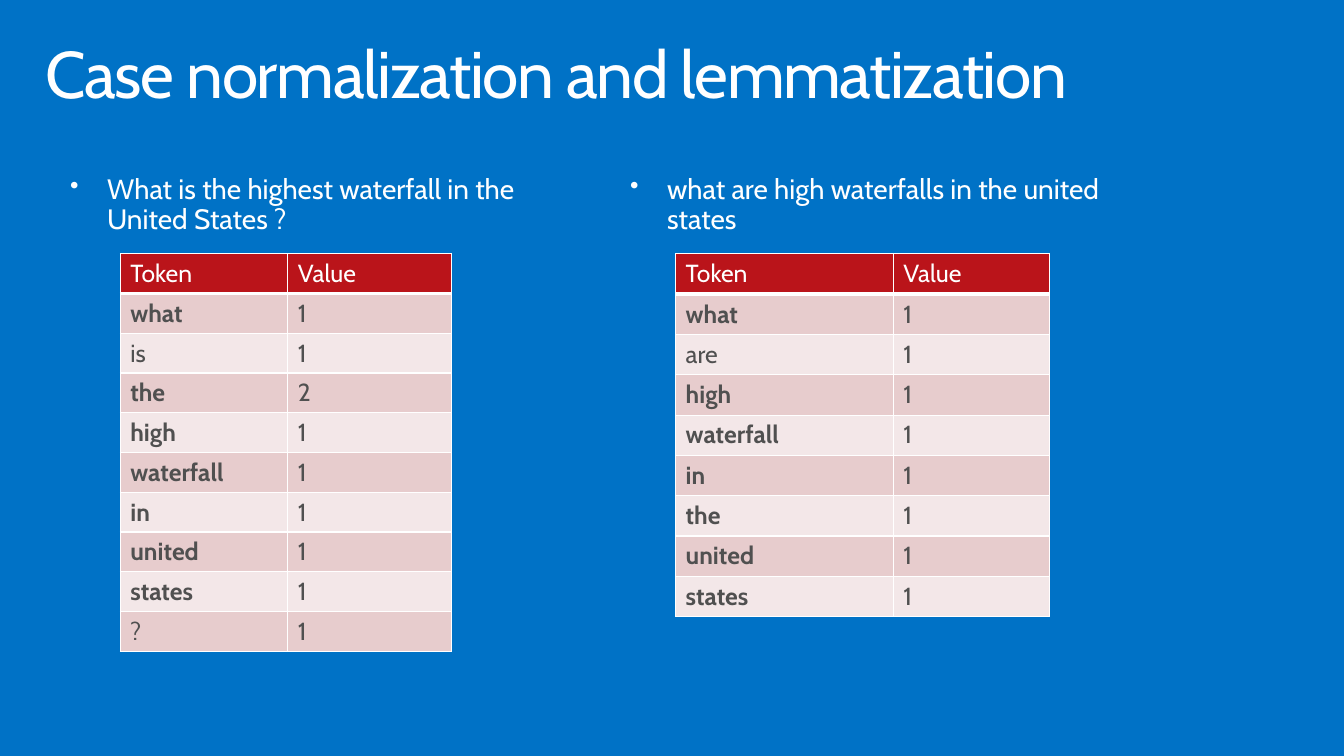
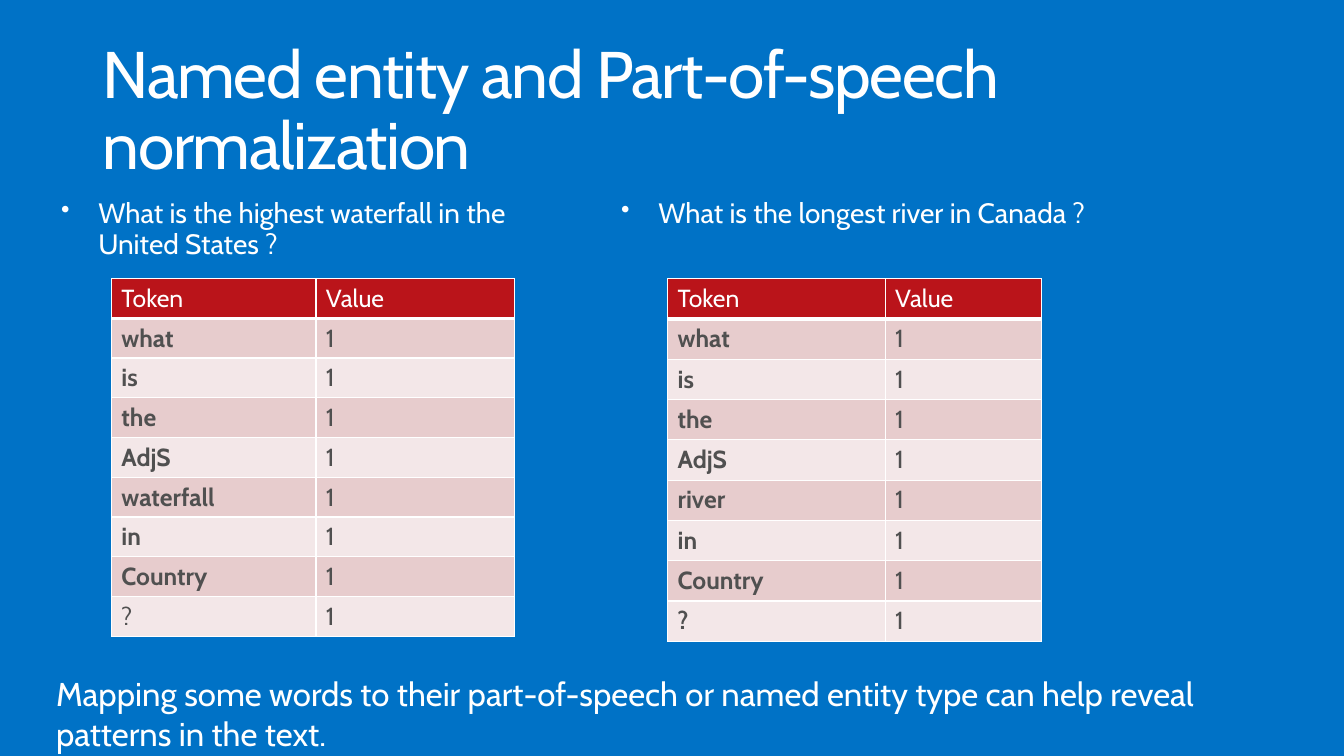
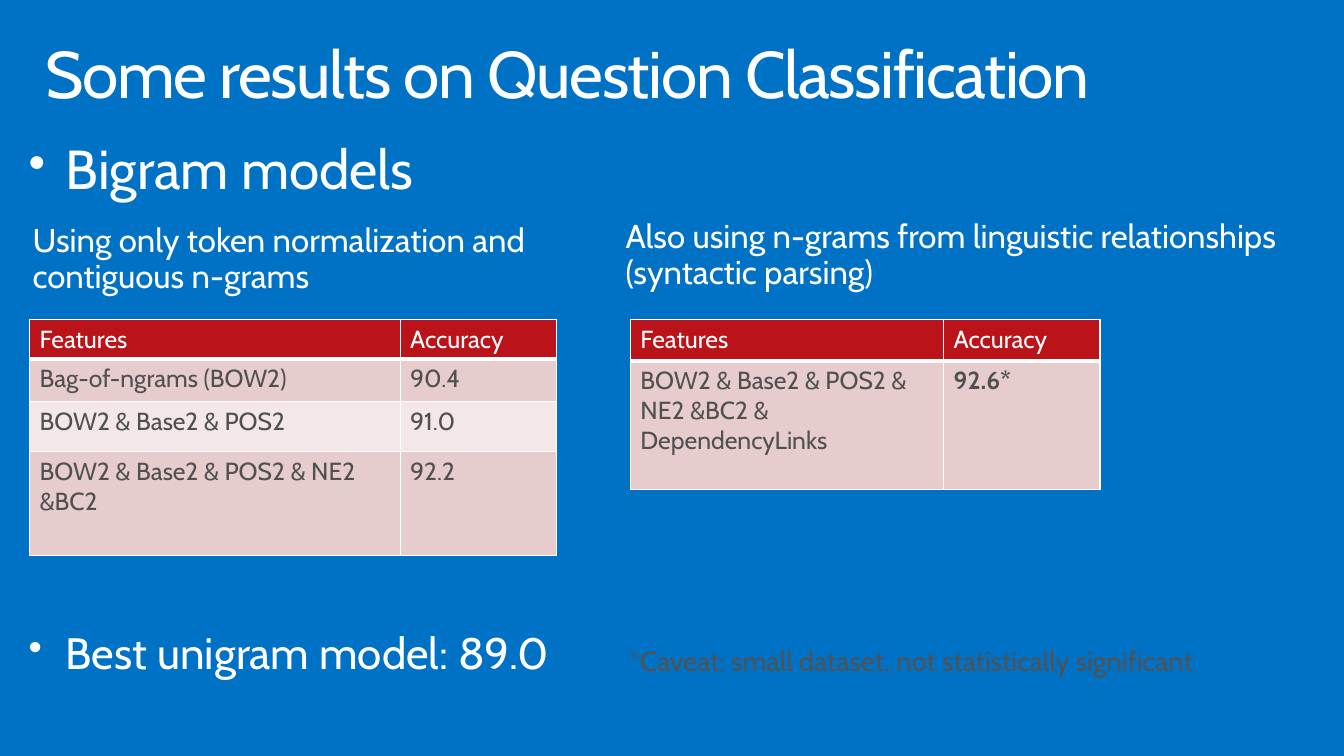
from dataclasses import dataclass

from lxml import etree
from pptx import Presentation
from pptx.dml.color import RGBColor
from pptx.enum.text import MSO_ANCHOR
from pptx.oxml.ns import qn
from pptx.util import Pt

TOP = MSO_ANCHOR.TOP


@dataclass(frozen=True)
class Theme:
    font: str = "Cabin"
    # Colours
    background: str = "0072C6"
    light: str = "FFFFFF"
    header: str = "BA141A"
    bands: tuple = ("E7CCCD", "F3E7E8")
    cell_text: str = "505050"
    caveat_text: str = "525252"
    # Type sizes
    title: float = 48
    topic: float = 40
    result: float = 32
    note: float = 24
    question: float = 20.4
    caveat: float = 20
    cell: float = 18
    # Box margins: horizontal, vertical
    body_margin: tuple = (11.5, 7.2)
    caption_margin: tuple = (14.4, 11.5)
    note_margin: tuple = (7.2, 3.6)


THEME = Theme()
SLIDE_W, SLIDE_H = 979.2, 550.8
COLUMN_PITCH = 408
TABLE_DROP = 64.8
VALUE_W = 113.8
BULLET_INDENT = 27


def add_run(paragraph, text, size, color, bold=False, tracking=0):
    run = paragraph.add_run()
    run.text = text
    font = run.font
    font.name, font.size, font.bold = THEME.font, Pt(size), bold
    font.color.rgb = RGBColor.from_string(color)
    if tracking:
        run._r.get_or_add_rPr().set("spc", str(tracking * 100))


def add_bullet(paragraph):
    props = paragraph._p.get_or_add_pPr()
    props.set("marL", str(Pt(BULLET_INDENT)))
    props.set("indent", str(-Pt(BULLET_INDENT)))
    etree.SubElement(props, qn("a:buSzPct")).set("val", "90000")
    etree.SubElement(props, qn("a:buChar")).set("char", "•")


def add_text(slide, text, box, size, color=THEME.light, margin=THEME.body_margin,
             bullet=False, spacing=0.9, tracking=0):
    frame = slide.shapes.add_textbox(*map(Pt, box)).text_frame
    frame.word_wrap = True
    frame.vertical_anchor = TOP
    frame.margin_left = frame.margin_right = Pt(margin[0])
    frame.margin_top = frame.margin_bottom = Pt(margin[1])
    paragraph = frame.paragraphs[0]
    if bullet:
        add_bullet(paragraph)
    paragraph.line_spacing = spacing
    add_run(paragraph, text, size, color, tracking=tracking)


def add_title(slide, text, left=21.6):
    width = min(936, SLIDE_W - left)
    add_text(slide, text, (left, 23, width, 72), THEME.title, tracking=-1)


def add_caption(slide, text, left, top, width):
    add_text(slide, text, (left, top, width, 75.6), THEME.note,
             margin=THEME.caption_margin)


def set_borders(cell, bottom):
    props = cell._tc.get_or_add_tcPr()
    sides = {"a:lnL": 1, "a:lnR": 1, "a:lnT": 1, "a:lnB": bottom}
    for position, (tag, width) in enumerate(sides.items()):
        line = etree.Element(qn(tag), w=str(Pt(width)))
        fill = etree.SubElement(line, qn("a:solidFill"))
        etree.SubElement(fill, qn("a:srgbClr")).set("val", THEME.light)
        props.insert(position, line)


def add_grid(slide, rows, left, top, col_widths, row_heights, bold=()):
    """Draw a table with a red header and banded rows; texts in bold stand out."""
    table = slide.shapes.add_table(
        len(rows), len(col_widths), Pt(left), Pt(top),
        Pt(sum(col_widths)), Pt(sum(row_heights))).table
    table.first_row = table.horz_banding = False
    for column, width in zip(table.columns, col_widths):
        column.width = Pt(width)
    for r, (texts, height) in enumerate(zip(rows, row_heights)):
        table.rows[r].height = Pt(height)
        is_header = r == 0
        fill = THEME.header if is_header else THEME.bands[(r - 1) % 2]
        color = THEME.light if is_header else THEME.cell_text
        for c, text in enumerate(texts):
            cell = table.cell(r, c)
            cell.fill.solid()
            cell.fill.fore_color.rgb = RGBColor.from_string(fill)
            set_borders(cell, bottom=3 if is_header else 1)
            add_run(cell.text_frame.paragraphs[0], text, THEME.cell, color,
                    bold=text in bold)


def add_question(slide, left, top, question, tokens, bold, indent, col_widths,
                 row_height, counts=None):
    """Place a question with the table of its tokens below it."""
    add_text(slide, question, (left, top, 372.2, 349.2), THEME.question, bullet=True)
    counts = counts or {}
    rows = [("Token", "Value")] + [(t, counts.get(t, "1")) for t in tokens]
    add_grid(slide, rows, left + indent, top + TABLE_DROP, col_widths,
             [row_height] * len(rows), bold)


def build_lemmatization(slide):
    add_title(slide, "Case normalization and lemmatization")
    left, top = 39.6, 120.2
    highest = "what is the high waterfall in united states ?".split()
    plural = "what are high waterfall in the united states".split()
    shared = set(highest) & set(plural)
    add_question(slide, left, top,
                 "What is the highest waterfall in the United States ?",
                 highest, shared, 48.2, (122, 119), 28.95, {"the": "2"})
    add_question(slide, left + COLUMN_PITCH, top,
                 "what are high waterfalls in the united states",
                 plural, shared, 44.8, (158.5, VALUE_W), 29.37)


def build_named_entity(slide):
    add_title(slide, "Named entity and Part-of-speech normalization", left=63.4)
    left, top = 33.1, 138.2
    waterfall = "what is the AdjS waterfall in Country ?".split()
    river = "what is the AdjS river in Country ?".split()
    add_question(slide, left, top,
                 "What is the highest waterfall in the United States ?",
                 waterfall, set(waterfall) - {"?"}, 48.2, (149, 144.8), 28.95)
    add_question(slide, left + COLUMN_PITCH, top,
                 "What is the longest river in Canada ?",
                 river, set(river), 45.4, (158.5, VALUE_W), 29.37)
    # Conclusion
    add_text(slide, "Mapping some words to their part-of-speech or named entity "
             "type can help reveal patterns in the text.",
             (33.8, 487.4, 905, 63), THEME.note, margin=THEME.note_margin, spacing=1)


def build_results(slide):
    add_title(slide, "Some results on Question Classification")
    left, right, table_top = 9.4, 441.4, 232.6
    add_text(slide, "Bigram models", (left, 96.5, 936, 58), THEME.topic, bullet=True)

    # Contiguous n-grams
    add_caption(slide, "Using only token normalization and contiguous n-grams",
                left, 152, 432)
    header = ("Features", "Accuracy")
    add_grid(slide, [header,
                     ("Bag-of-ngrams (BOW2)", "90.4"),
                     ("BOW2 & Base2 & POS2", "91.0"),
                     ("BOW2 & Base2 & POS2 & NE2 &BC2", "92.2")],
             21.6, table_top, (270, VALUE_W), (29, 31, 36.5, 75.6))

    # Linguistic relationships
    add_caption(slide, "Also using n-grams from linguistic relationships "
                "(syntactic parsing)", right, 149, 504)
    add_grid(slide, [header,
                     ("BOW2 & Base2 & POS2 & NE2 &BC2 & DependencyLinks", "92.6*")],
             459.4, table_top, (228.2, VALUE_W), (30.2, 94), bold={"92.6*"})

    # Baseline and caveat
    add_text(slide, "Best unigram model: 89.0", (left, 452.9, 432, 52),
             THEME.result, bullet=True)
    add_text(slide, "*Caveat: small dataset, not statistically significant",
             (443.5, 461.5, 504, 45.4), THEME.caveat, THEME.caveat_text,
             THEME.caption_margin)


def main():
    prs = Presentation()
    prs.slide_width, prs.slide_height = Pt(SLIDE_W), Pt(SLIDE_H)
    # Shared background
    backdrop = prs.slide_master.background.fill
    backdrop.solid()
    backdrop.fore_color.rgb = RGBColor.from_string(THEME.background)
    blank = prs.slide_layouts[6]
    for build in (build_lemmatization, build_named_entity, build_results):
        build(prs.slides.add_slide(blank))
    prs.save("out.pptx")


if __name__ == "__main__":
    main()
